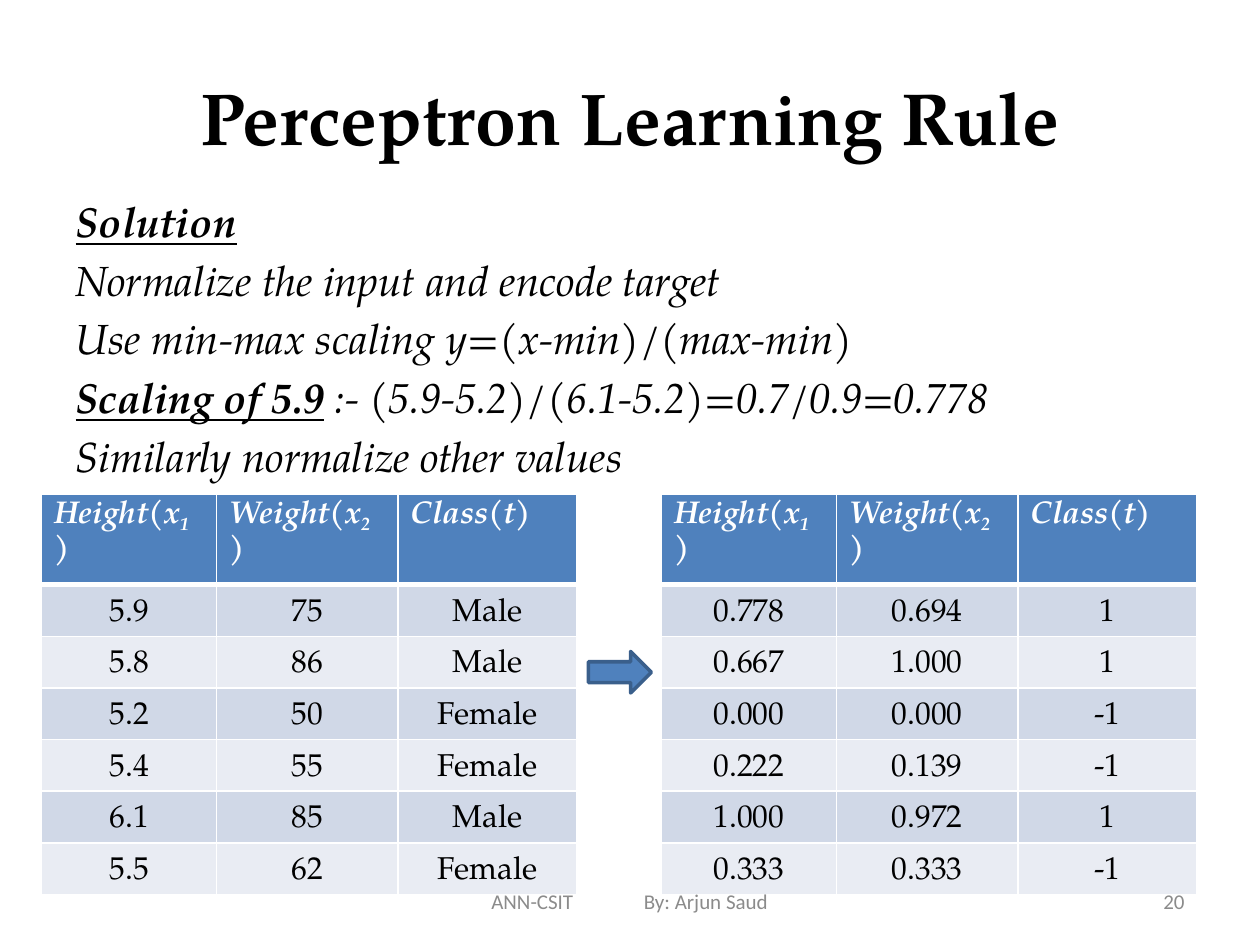
from lxml import etree
from pptx import Presentation
from pptx import util as u
from pptx.dml.color import RGBColor
from pptx.enum import shapes, text
from pptx.oxml.ns import qn

SERIF, SANS = "TeX Gyre Pagella", "Calibri"
BLUE, DARK_BLUE, BAND, LIGHT_BAND = "4F81BD", "3A5F8B", "D0D8E7", "E9ECF3"
WHITE, BLACK, GREY = "FFFFFF", "000000", "8B8B8B"

TITLE = "Perceptron Learning Rule"
HEADING = {"bold": True, "underline": True}
SOLUTION = [
    [("Solution", HEADING)],
    [("Normalize the input and encode target", {})],
    [("Use min-max scaling y=(x-min)/(max-min)", {})],
    [("Scaling of 5.9", HEADING), (" :- (5.9-5.2)/(6.1-5.2)=0.7/0.9=0.778", {})],
    [("Similarly normalize other values", {})],
]
HEADERS = [("Height(x", "1", ")"), ("Weight(x", "2", ")"), ("Class(t)",)]
MEASURED = [
    ("5.9", "75", "Male"), ("5.8", "86", "Male"), ("5.2", "50", "Female"),
    ("5.4", "55", "Female"), ("6.1", "85", "Male"), ("5.5", "62", "Female"),
]
NORMALIZED = [
    ("0.778", "0.694", "1"), ("0.667", "1.000", "1"), ("0.000", "0.000", "-1"),
    ("0.222", "0.139", "-1"), ("1.000", "0.972", "1"), ("0.333", "0.333", "-1"),
]
TABLES = [(0.33, MEASURED), (5.25, NORMALIZED)]
TABLE_TOP, COLUMN_WIDTHS, HEADER_HEIGHT, ROW_HEIGHT = 3.92, (1.39, 1.44, 1.42), 0.72, 0.41


def color(hex_string):
    return RGBColor.from_string(hex_string)


def box(left, top, width, height):
    return [u.Inches(value) for value in (left, top, width, height)]


def place(shape, *bounds):
    shape.left, shape.top, shape.width, shape.height = box(*bounds)


def add_run(paragraph, words, size=18, font=SERIF, fill=BLACK, bold=False,
            italic=False, underline=False, baseline=None):
    run = paragraph.add_run()
    run.text = words
    run.font.size, run.font.name = u.Pt(size), font
    run.font.bold, run.font.italic, run.font.underline = bold, italic, underline
    run.font.color.rgb = color(fill)
    if baseline:
        run.font._element.set("baseline", str(baseline))


def add_borders(cell, top, bottom):
    properties = cell._tc.get_or_add_tcPr()
    for side, width in (("L", 0.96), ("R", 0.96), ("T", top), ("B", bottom)):
        line = etree.SubElement(properties, qn(f"a:ln{side}"), w=str(u.Pt(width)))
        fill = etree.SubElement(line, qn("a:solidFill"))
        etree.SubElement(fill, qn("a:srgbClr"), val=WHITE)


def add_data_table(slide, left, rows):
    height = HEADER_HEIGHT + ROW_HEIGHT * len(rows)
    bounds = box(left, TABLE_TOP, sum(COLUMN_WIDTHS), height)
    table = slide.shapes.add_table(len(rows) + 1, len(HEADERS), *bounds).table
    for column, width in zip(table.columns, COLUMN_WIDTHS):
        column.width = u.Inches(width)
    for index, values in enumerate([HEADERS, *rows]):
        table.rows[index].height = u.Inches(ROW_HEIGHT if index else HEADER_HEIGHT)
        for column, value in enumerate(values):
            cell = table.cell(index, column)
            add_borders(cell, 3 if index == 1 else 0.96, 0.96 if index else 3)
            cell.fill.solid()
            cell.fill.fore_color.rgb = color((LIGHT_BAND, BAND)[index % 2] if index else BLUE)
            paragraph = cell.text_frame.paragraphs[0]
            if index:
                cell.vertical_anchor = text.MSO_ANCHOR.BOTTOM
                cell.margin_left = cell.margin_right = u.Inches(0.01)
                paragraph.alignment = text.PP_ALIGN.CENTER
                add_run(paragraph, value)
            else:
                for part, words in enumerate(value):
                    add_run(paragraph, words, fill=WHITE, bold=True, italic=True,
                            baseline=-25000 if part == 1 else None)


def add_solution(body):
    place(body, 0.5, 1.5, 9, 5.5)
    frame = body.text_frame
    for index, runs in enumerate(SOLUTION):
        paragraph = frame.add_paragraph() if index else frame.paragraphs[0]
        properties = paragraph._p.get_or_add_pPr()
        properties.set("marL", str(u.Inches(0.38)))
        properties.set("indent", str(u.Inches(-0.38)))
        etree.SubElement(properties, qn("a:buNone"))
        paragraph.alignment = text.PP_ALIGN.JUSTIFY
        paragraph.space_before = u.Pt(4.8 if index else 0)
        for words, style in runs:
            add_run(paragraph, words, size=24, italic=True, **style)


def add_footer(slide, bounds, words, alignment, inset=0.1, tab=None):
    frame = slide.shapes.add_textbox(*box(*bounds)).text_frame
    frame.word_wrap = True
    frame.vertical_anchor = text.MSO_ANCHOR.MIDDLE
    frame.margin_left = u.Inches(inset)
    paragraph = frame.paragraphs[0]
    if tab:
        tabs = etree.SubElement(paragraph._p.get_or_add_pPr(), qn("a:tabLst"))
        etree.SubElement(tabs, qn("a:tab"), pos=str(u.Inches(tab)), algn="l")
    paragraph.alignment = alignment
    add_run(paragraph, words, size=12, font=SANS, fill=GREY)


def main():
    """Build the perceptron learning rule slide."""
    presentation = Presentation()
    presentation.slide_width, presentation.slide_height = u.Inches(10), u.Inches(7.5)
    slide = presentation.slides.add_slide(presentation.slide_layouts[1])

    title = slide.shapes.title
    place(title, 0.5, 0.3, 9, 1.25)
    title.text_frame.vertical_anchor = text.MSO_ANCHOR.MIDDLE
    paragraph = title.text_frame.paragraphs[0]
    paragraph.alignment = text.PP_ALIGN.CENTER
    add_run(paragraph, TITLE, size=42, bold=True)
    add_solution(slide.placeholders[1])

    for left, rows in TABLES:
        add_data_table(slide, left, rows)

    arrow = slide.shapes.add_shape(shapes.MSO_SHAPE.RIGHT_ARROW, *box(4.67, 5.17, 0.5, 0.33))
    arrow.shadow.inherit = False
    arrow.fill.solid()
    arrow.fill.fore_color.rgb = color(BLUE)
    arrow.line.color.rgb = color(DARK_BLUE)
    arrow.line.width = u.Pt(2)

    add_footer(slide, (3.42, 6.95, 3.17, 0.4), "ANN-CSIT\tBy: Arjun Saud",
               text.PP_ALIGN.LEFT, inset=0.48, tab=1.21)
    add_footer(slide, (7.17, 6.95, 2.33, 0.4), "20", text.PP_ALIGN.RIGHT)
    presentation.save("out.pptx")


if __name__ == "__main__":
    main()
